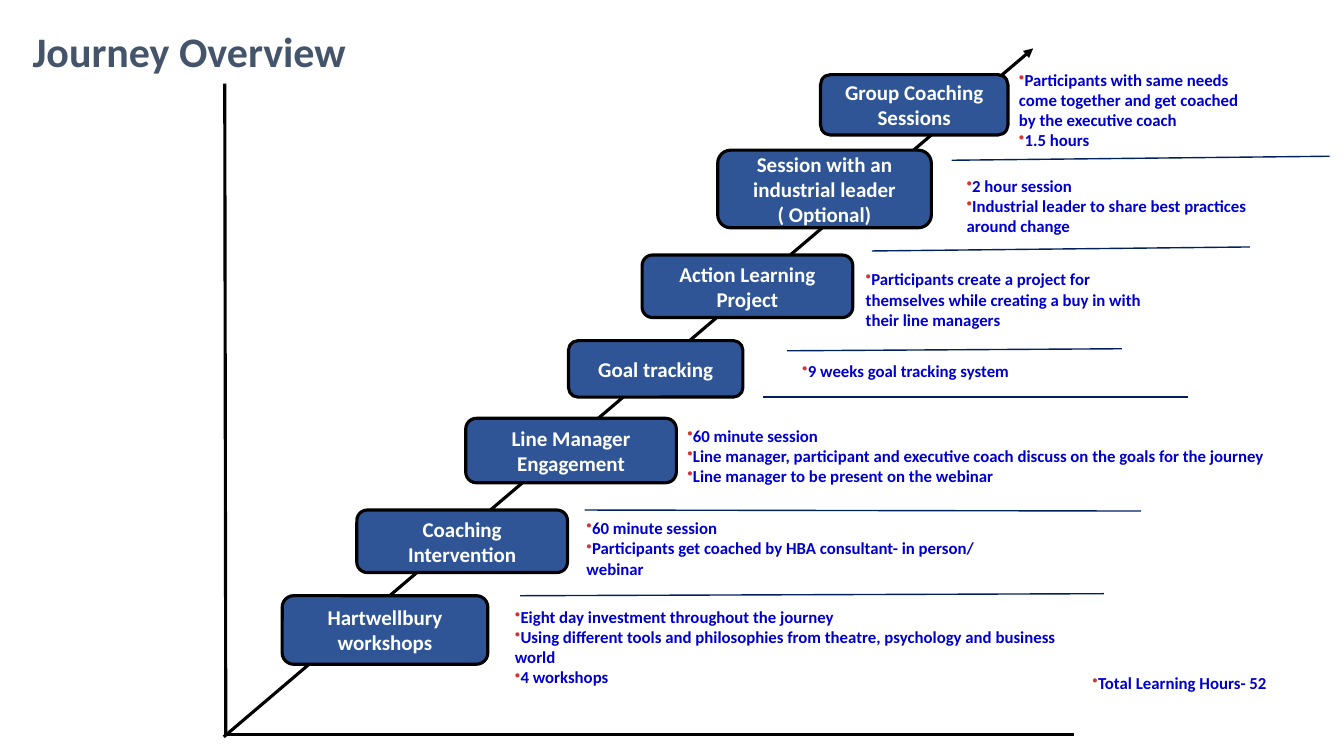
import pptx
import pptx.dml.color
import pptx.enum.shapes
import pptx.enum.text
import pptx.oxml
import pptx.oxml.ns
import pptx.util
from lxml import etree

RGBColor = pptx.dml.color.RGBColor
STAGE_BLUE = RGBColor(0x2F, 0x55, 0x97)
TITLE_SLATE = RGBColor(0x44, 0x54, 0x6A)
NOTE_BLUE = RGBColor(0x00, 0x00, 0xCC)
DIVIDER_NAVY = RGBColor(0x00, 0x20, 0x60)
BULLET_RED = RGBColor(0xD4, 0x35, 0x39)
BLACK = RGBColor(0, 0, 0)
WHITE = RGBColor(0xFF, 0xFF, 0xFF)

FONT = "Calibri"
SLIDE_WIDTH = pptx.util.Inches(13.33)
SLIDE_HEIGHT = pptx.util.Inches(7.5)
COLUMNS, ROWS = 80, 45

# Stage label, stage (column, row, columns, rows),
# note (column, row, columns, text lines), note paragraphs
STAGES = [
    ("Hartwellbury workshops", (16.8, 35.46, 12.24, 4.08), (30.06, 35.82, 34.62, 4),
     ["Eight day investment throughout the journey",
      "Using different tools and philosophies from theatre, psychology and business world",
      "4 workshops"]),
    ("Coaching Intervention", (21.24, 30.36, 12.54, 3.72), (34.32, 30.54, 26.76, 3),
     ["60 minute session",
      "Participants get coached by HBA consultant- in person/ webinar"]),
    ("Line Manager Engagement", (27.72, 24.9, 12.54, 3.84), (40.32, 25.02, 36.18, 3),
     ["60 minute session",
      "Line manager, participant and executive coach discuss on the goals for the journey",
      "Line manager to be present on the webinar"]),
    ("Goal tracking", (33.84, 20.28, 10.38, 3.36), (47.16, 21.18, 28.62, 1),
     ["9 weeks goal tracking system"]),
    ("Action Learning Project", (38.22, 15.18, 12.54, 3.72), (50.94, 15.72, 18.3, 3),
     ["Participants create a project for themselves while creating a buy in "
      "with their line managers"]),
    ("Session with an industrial leader ( Optional)",
     (42.72, 8.94, 12.72, 4.62), (56.94, 10.14, 18.3, 3),
     ["2 hour session",
      "Industrial leader to share best practices around change"]),
    ("Group Coaching Sessions", (48.84, 4.44, 11.16, 3.6), (60.06, 3.84, 15.24, 4),
     ["Participants with same needs come together and get coached by the executive coach",
      "1.5 hours"]),
]

# Start column, start row, end column, end row
AXES = [(13.38, 4.98, 13.44, 43.74), (13.32, 43.74, 63.9, 43.74)]
JOURNEY_ARROW = (13.32, 43.86, 61.5, 2.88)
DIVIDERS = [
    (30.96, 35.46, 65.7, 35.34),
    (34.8, 30.36, 67.92, 30.42),
    (45.42, 23.64, 70.74, 23.64),
    (46.86, 20.88, 66.78, 20.76),
    (51.9, 14.94, 74.4, 14.7),
    (56.64, 9.54, 79.14, 9.3),
]


def on_grid(column, row, *more):
    """Turn alternating columns and rows into slide lengths."""
    steps = (SLIDE_WIDTH / COLUMNS, SLIDE_HEIGHT / ROWS)
    return [round(value * steps[index % 2])
            for index, value in enumerate((column, row, *more))]


def add_span(para, text, size, color):
    span = para.add_run()
    span.text = text
    span.font.name = FONT
    span.font.size = pptx.util.Pt(size)
    span.font.bold = True
    span.font.color.rgb = color


def add_line(page, ends, color, width, arrow=False):
    line = page.shapes.add_connector(
        pptx.enum.shapes.MSO_CONNECTOR.STRAIGHT, *on_grid(*ends))
    line.line.color.rgb = color
    line.line.width = pptx.util.Pt(width)
    if arrow:
        head = etree.SubElement(line.line._get_or_add_ln(), pptx.oxml.ns.qn("a:tailEnd"))
        head.set("type", "triangle")
    etree.SubElement(line._element.spPr, pptx.oxml.ns.qn("a:effectLst"))


def add_rounded_box(page, area, text, size, color, align):
    """Add an unfilled rounded box with one vertically centred paragraph."""
    box = page.shapes.add_shape(
        pptx.enum.shapes.MSO_SHAPE.ROUNDED_RECTANGLE, *on_grid(*area))
    box.shadow.inherit = False
    box.fill.background()
    box.line.fill.background()
    box.text_frame.word_wrap = True
    box.text_frame.vertical_anchor = pptx.enum.text.MSO_ANCHOR.MIDDLE
    para = box.text_frame.paragraphs[0]
    para.alignment = align
    add_span(para, text, size, color)
    return box


def add_title(page, text):
    box = add_rounded_box(page, (1.14, 1.08, 35.16, 4.26), text, 30, TITLE_SLATE,
                          pptx.enum.text.PP_ALIGN.LEFT)
    box.text_frame.paragraphs[0].line_spacing = 0.9


def add_stage(page, area, label):
    box = add_rounded_box(page, area, label, 15, WHITE, pptx.enum.text.PP_ALIGN.CENTER)
    box.fill.solid()
    box.fill.fore_color.rgb = STAGE_BLUE
    box.line.color.rgb = BLACK
    box.line.width = pptx.util.Pt(2.25)


def add_bullet(para):
    properties = para._p.get_or_add_pPr()
    namespace = pptx.oxml.ns.nsdecls("a")
    for markup in (
        f'<a:buClr {namespace}><a:srgbClr val="{BULLET_RED}"/></a:buClr>',
        f'<a:buSzPct {namespace} val="95000"/>',
        f'<a:buChar {namespace} char="•"/>',
    ):
        properties.append(pptx.oxml.parse_xml(markup))


def add_note(page, place, texts):
    column, row, columns, lines = place
    area = (column, row, columns, 0.6 + 1.22 * lines)
    box = page.shapes.add_textbox(*on_grid(*area))
    frame = box.text_frame
    frame.word_wrap = True
    frame.auto_size = pptx.enum.text.MSO_AUTO_SIZE.SHAPE_TO_FIT_TEXT
    for index, text in enumerate(texts):
        para = frame.add_paragraph() if index else frame.paragraphs[0]
        add_bullet(para)
        add_span(para, text, 12, NOTE_BLUE)


def main():
    deck = pptx.Presentation()
    deck.slide_width = SLIDE_WIDTH
    deck.slide_height = SLIDE_HEIGHT
    page = deck.slides.add_slide(deck.slide_layouts[6])

    for axis in AXES:
        add_line(page, axis, BLACK, 2.25)
    add_line(page, JOURNEY_ARROW, BLACK, 2.25, arrow=True)
    add_title(page, "Journey Overview")
    for label, area, note_place, note_texts in STAGES:
        add_stage(page, area, label)
        add_note(page, note_place, note_texts)
    for divider in DIVIDERS:
        add_line(page, divider, DIVIDER_NAVY, 1)
    add_note(page, (64.44, 39.72, 12.48, 1), ["Total Learning Hours- 52"])

    deck.save("out.pptx")


if __name__ == "__main__":
    main()
